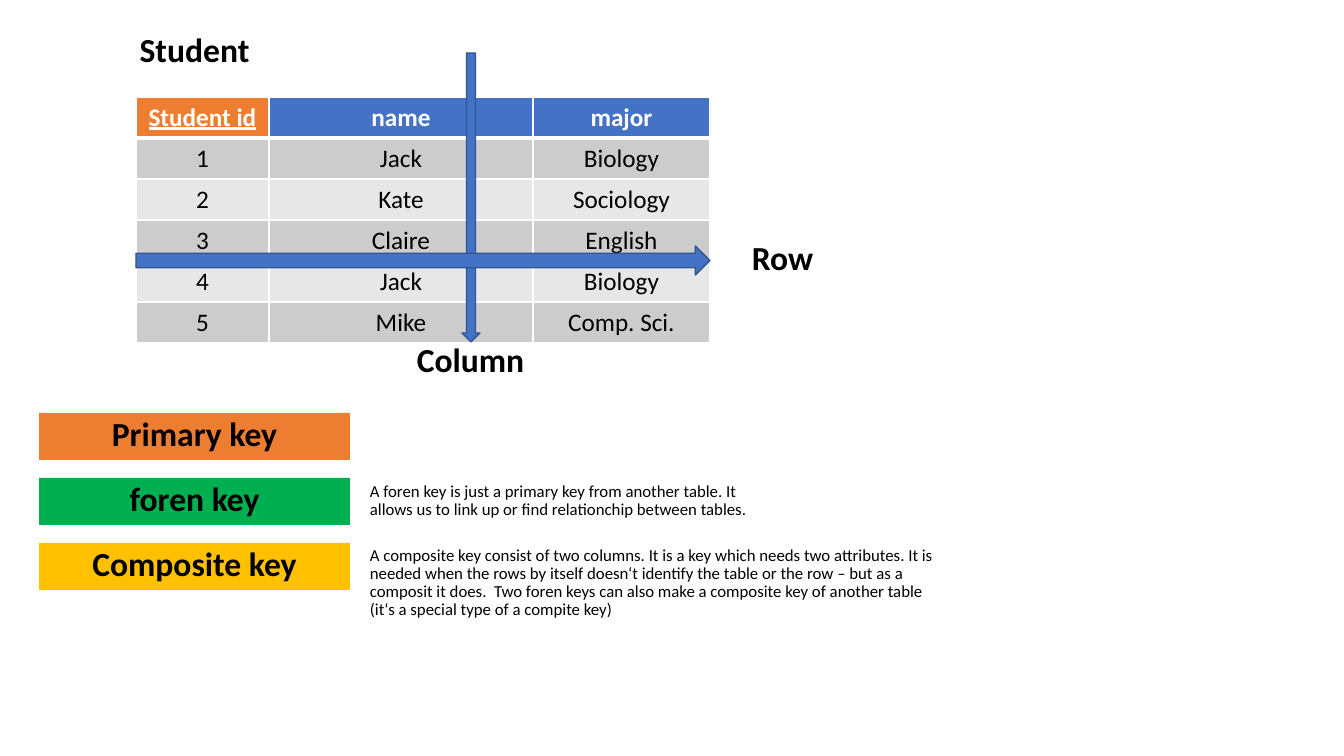
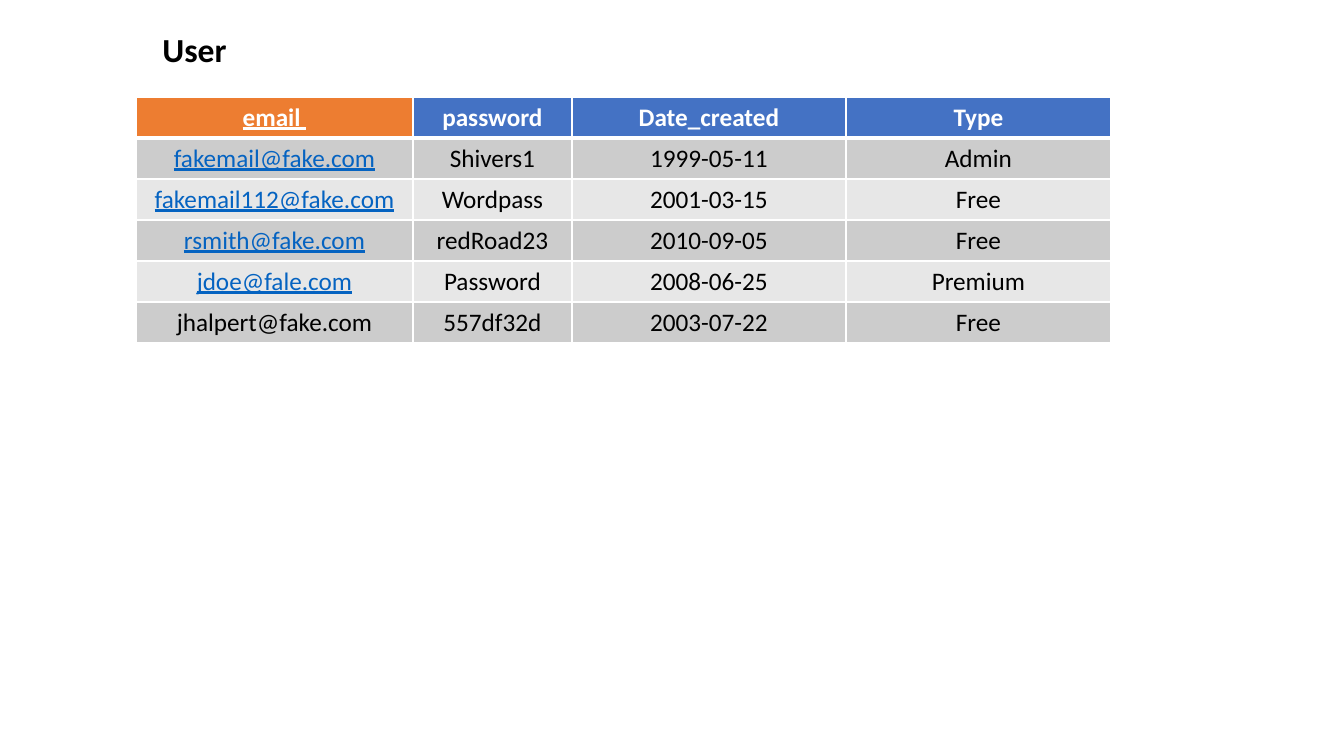
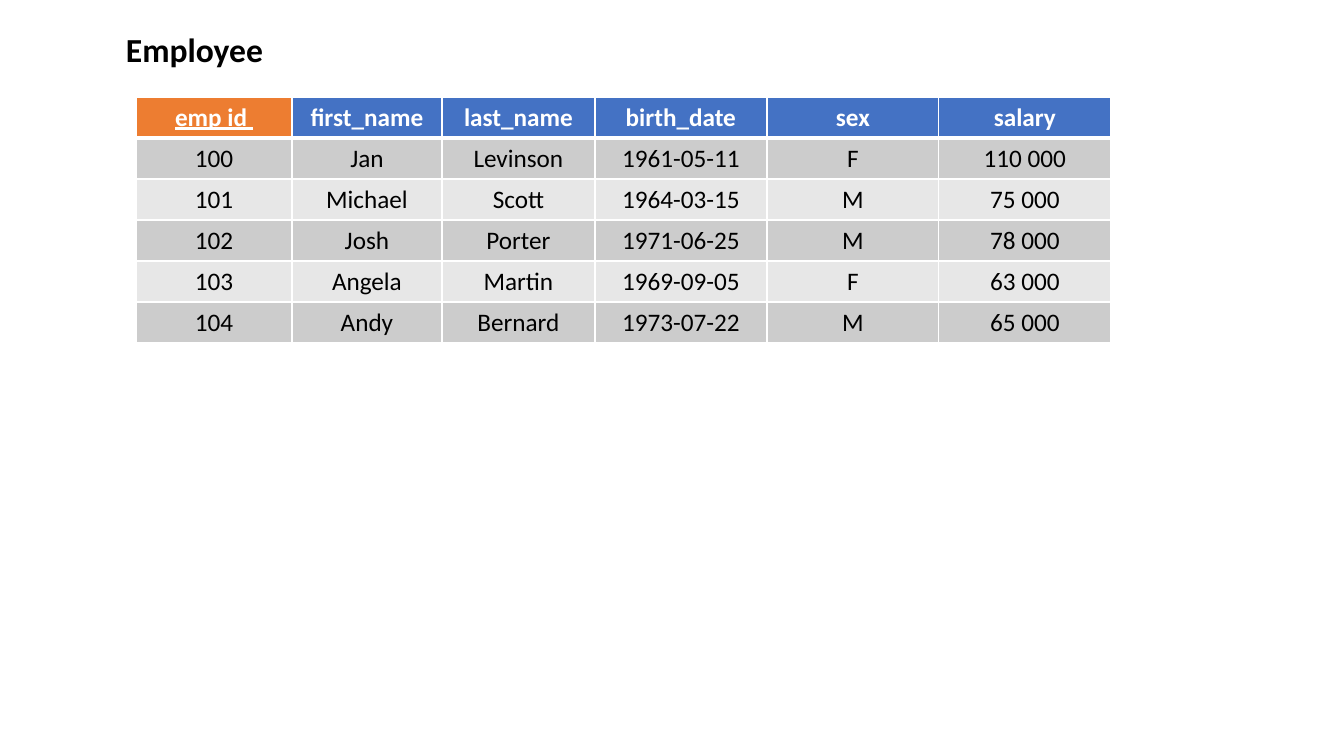
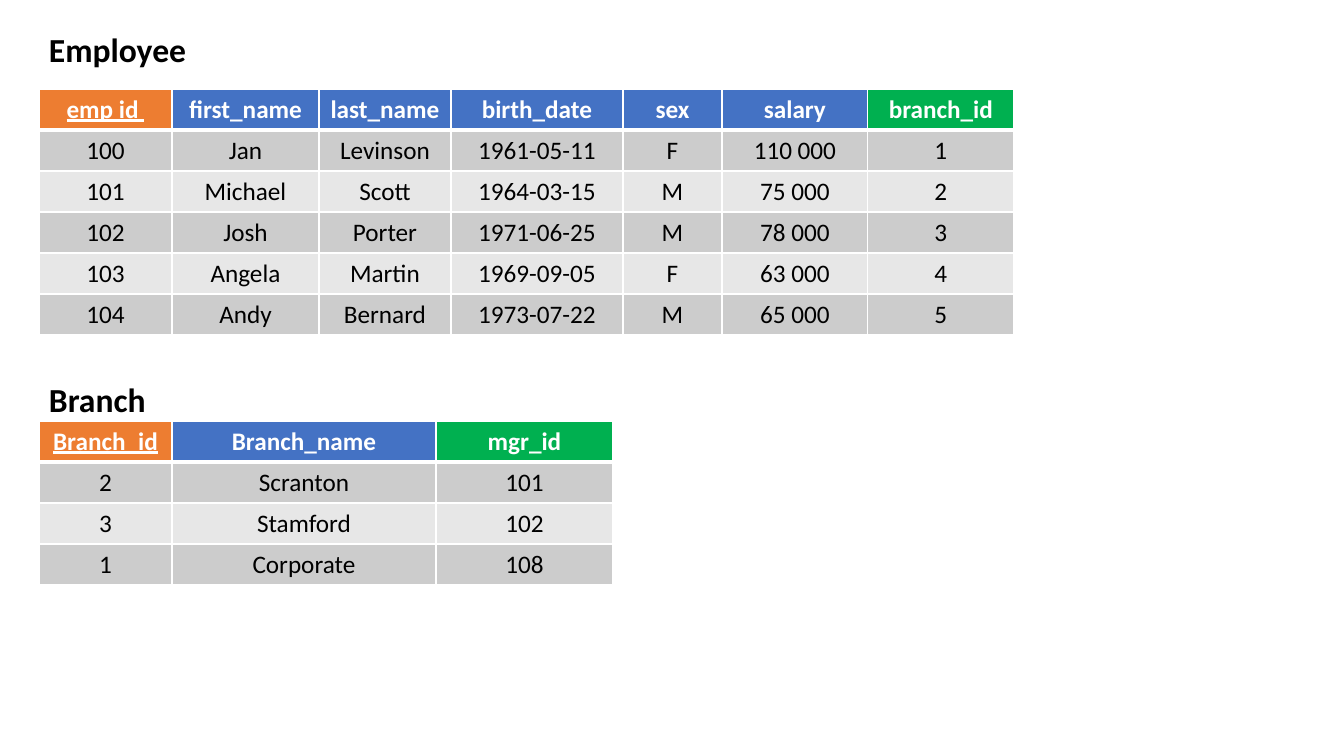
from dataclasses import dataclass
from enum import Enum

from lxml import etree
from pptx import Presentation
from pptx import util as u
from pptx.dml.color import RGBColor
from pptx.enum import shapes, text
from pptx.oxml import ns
from pptx.slide import Slide
from pptx.table import _Cell
from pptx.text.text import TextFrame

SCALE = 914400 / 100.8  # EMU per pixel


# Theme
@dataclass(frozen=True)
class Theme:
    font: str = "Calibri"
    ink: str = "000000"
    white: str = "FFFFFF"
    link: str = "0563C1"
    blue: str = "4472C4"
    outline: str = "325491"
    orange: str = "ED7D31"
    green: str = "00B050"
    yellow: str = "FFC000"
    bands: tuple[str, str] = ("CCCCCC", "E7E7E7")
    heading: int = 24
    cell: int = 18
    note: int = 12
    thin: int = 1
    thick: int = 3


T = Theme()
PARAGRAPH = {"line_spacing": 0.9, "space_before": u.Pt(10)}


# Elements
class Role(Enum):
    PRIMARY = T.orange
    FOREIGN = T.green
    PLAIN = T.blue


@dataclass(frozen=True)
class Box:
    x: int
    y: int
    w: int
    h: int

    def emu(self) -> tuple[int, int, int, int]:
        return px(self.x), px(self.y), px(self.w), px(self.h)


@dataclass(frozen=True)
class Label:
    words: str
    box: Box
    size: int = T.heading
    bold: bool = True
    centred: bool = True
    fill: str | None = None


@dataclass(frozen=True)
class Arrow:
    kind: shapes.MSO_SHAPE
    box: Box


@dataclass(frozen=True)
class Column:
    name: str
    width: int
    role: Role = Role.PLAIN


@dataclass(frozen=True)
class Grid:
    x: int
    y: int
    columns: list[Column]
    rows: list[tuple[str, ...]]
    linked: frozenset[str] = frozenset()


# Helpers
def px(n: int) -> int:
    return round(n * SCALE)


def rgb(colour: str) -> RGBColor:
    return RGBColor.from_string(colour)


def write(tf: TextFrame, words: str, size: int, colour: str = T.ink, bold: bool = False,
          underline: bool = False, centred: bool = True, para: dict | None = None) -> None:
    p = tf.paragraphs[0]
    align = text.PP_ALIGN.CENTER if centred else text.PP_ALIGN.LEFT
    for name, value in {"alignment": align, **(para or {})}.items():
        setattr(p, name, value)
    r = p.add_run()
    r.text = words
    fmt = {"name": T.font, "size": u.Pt(size), "bold": bold, "underline": underline}
    for name, value in fmt.items():
        setattr(r.font, name, value)
    r.font.color.rgb = rgb(colour)


def set_borders(cell: _Cell, top: int, bottom: int) -> None:
    tc_pr = cell._tc.get_or_add_tcPr()
    widths = {"lnL": T.thin, "lnR": T.thin, "lnT": top, "lnB": bottom}
    for tag, points in widths.items():
        ln = etree.SubElement(tc_pr, ns.qn(f"a:{tag}"), w=str(u.Pt(points)))
        fill = etree.SubElement(ln, ns.qn("a:solidFill"))
        etree.SubElement(fill, ns.qn("a:srgbClr"), val=T.white)


# Drawing
def draw_label(s: Slide, label: Label) -> None:
    if label.fill:
        sp = s.shapes.add_shape(shapes.MSO_SHAPE.RECTANGLE, *label.box.emu())
        sp.shadow.inherit = False
        sp.fill.solid()
        sp.fill.fore_color.rgb = rgb(label.fill)
        sp.line.fill.background()
    else:
        sp = s.shapes.add_textbox(*label.box.emu())
    tf = sp.text_frame
    tf.word_wrap = True
    tf.vertical_anchor = text.MSO_ANCHOR.TOP
    write(tf, label.words, label.size, bold=label.bold, centred=label.centred, para=PARAGRAPH)


def draw_arrow(s: Slide, arrow: Arrow) -> None:
    sp = s.shapes.add_shape(arrow.kind, *arrow.box.emu())
    sp.shadow.inherit = False
    sp.fill.solid()
    sp.fill.fore_color.rgb = rgb(T.blue)
    sp.line.color.rgb = rgb(T.outline)
    sp.line.width = u.Pt(T.thin)


def draw_grid(s: Slide, grid: Grid) -> None:
    names = tuple(c.name for c in grid.columns)
    lines = [names, *grid.rows]
    box = Box(grid.x, grid.y, sum(c.width for c in grid.columns), ROW_H * len(lines))
    table = s.shapes.add_table(len(lines), len(names), *box.emu()).table
    table.horz_banding = False
    for col, column in zip(table.columns, grid.columns):
        col.width = px(column.width)
    for i, line in enumerate(lines):
        table.rows[i].height = px(ROW_H)
        for j, words in enumerate(line):
            cell, role = table.cell(i, j), grid.columns[j].role
            header, linked = i == 0, words in grid.linked
            set_borders(cell, T.thick if i == 1 else T.thin, T.thick if header else T.thin)
            cell.fill.solid()
            cell.fill.fore_color.rgb = rgb(role.value if header else T.bands[(i - 1) % 2])
            colour = T.white if header else T.link if linked else T.ink
            write(cell.text_frame, words, T.cell, colour, bold=header,
                  underline=linked or header and role is Role.PRIMARY)


DRAW = {Label: draw_label, Arrow: draw_arrow, Grid: draw_grid}

# Shared layout
ROW_H = 41
LEFT, LABEL_W, LABEL_H = 39, 311, 47
TABLE_X, TABLE_Y = 136, 97
NOTE_X = 360
KEY_Y, KEY_STEP = 413, 65


def heading(words: str, x: int = LEFT, y: int = 29, **style) -> Label:
    return Label(words, Box(x, y, LABEL_W, LABEL_H), **style)


def note(words: str, y: int, w: int, h: int) -> Label:
    return Label(words, Box(NOTE_X, y, w, h), T.note, bold=False, centred=False)


def columns(names: list[str], widths: list[int], foreign: str = "") -> list[Column]:
    """The first column is the primary key."""
    roles = [Role.PRIMARY] + [Role.FOREIGN if n == foreign else Role.PLAIN for n in names[1:]]
    return [Column(*c) for c in zip(names, widths, roles)]


# Records
STUDENTS = [
    ("1", "Jack", "Biology"),
    ("2", "Kate", "Sociology"),
    ("3", "Claire", "English"),
    ("4", "Jack", "Biology"),
    ("5", "Mike", "Comp. Sci."),
]
USERS = [
    ("fakemail@fake.com", "Shivers1", "1999-05-11", "Admin"),
    ("fakemail112@fake.com", "Wordpass", "2001-03-15", "Free"),
    ("rsmith@fake.com", "redRoad23", "2010-09-05", "Free"),
    ("jdoe@fale.com", "Password", "2008-06-25", "Premium"),
    ("jhalpert@fake.com", "557df32d", "2003-07-22", "Free"),
]
EMPLOYEE_FIELDS = ["emp id ", "first_name", "last_name", "birth_date", "sex", "salary"]
EMPLOYEES = [
    ("100", "Jan", "Levinson", "1961-05-11", "F", "110 000"),
    ("101", "Michael", "Scott", "1964-03-15", "M", "75 000"),
    ("102", "Josh", "Porter", "1971-06-25", "M", "78 000"),
    ("103", "Angela", "Martin", "1969-09-05", "F", "63 000"),
    ("104", "Andy", "Bernard", "1973-07-22", "M", "65 000"),
]
BRANCHES = [
    ("2", "Scranton", "101"),
    ("3", "Stamford", "102"),
    ("1", "Corporate", "108"),
]
KEYS = [("Primary key", T.orange), ("foren key", T.green), ("Composite key", T.yellow)]
NARROW = [133, 264, 177]

# Slides
student = [
    heading("Student"),
    Grid(TABLE_X, TABLE_Y, columns(["Student id", "name", "major"], NARROW), STUDENTS),
    Arrow(shapes.MSO_SHAPE.DOWN_ARROW, Box(462, 53, 18, 289)),
    Arrow(shapes.MSO_SHAPE.RIGHT_ARROW, Box(TABLE_X, 246, sum(NARROW), 29)),
    heading("Row", 627, 237),
    heading("Column", 315, 339),
    *(heading(words, y=KEY_Y + i * KEY_STEP, fill=fill) for i, (words, fill) in enumerate(KEYS)),
    note("A foren key is just a primary key from another table. It allows us to link up or "
         "find relationchip between tables.", KEY_Y + KEY_STEP, 428, LABEL_H),
    note("A composite key consist of two columns. It is a key which needs two attributes. "
         "It is needed when the rows by itself doesn‘t identify the table or the row – but "
         "as a composit it does.  Two foren keys can also make a composite key of another "
         "table (it‘s a special type of a compite key)", KEY_Y + 2 * KEY_STEP - 1, 594, 101),
]
user = [
    heading("User"),
    Grid(TABLE_X, TABLE_Y,
         columns(["email ", "password", "Date_created", "Type"], [277, 159, 274, 265]),
         USERS, linked=frozenset(row[0] for row in USERS[:-1])),
]
employee = [
    heading("Employee"),
    Grid(TABLE_X, TABLE_Y, columns(EMPLOYEE_FIELDS, [156, 150, 153, 172, 172, 172]), EMPLOYEES),
]
branch = [
    heading("Employee", centred=False),
    Grid(LEFT, 89,
         columns([*EMPLOYEE_FIELDS, "branch_id"], [133, 147, 132, 172, 99, 146, 146], "branch_id"),
         [(*row, str(i)) for i, row in enumerate(EMPLOYEES, 1)]),
    Grid(LEFT, 421, columns(["Branch_id", "Branch_name", "mgr_id"], NARROW, "mgr_id"), BRANCHES),
    heading("Branch", y=379, centred=False),
]

prs = Presentation()
prs.slide_width, prs.slide_height = px(1344), px(756)
for elements in (student, user, employee, branch):
    s = prs.slides.add_slide(prs.slide_layouts[6])
    for element in elements:
        DRAW[type(element)](s, element)
prs.save("out.pptx")
